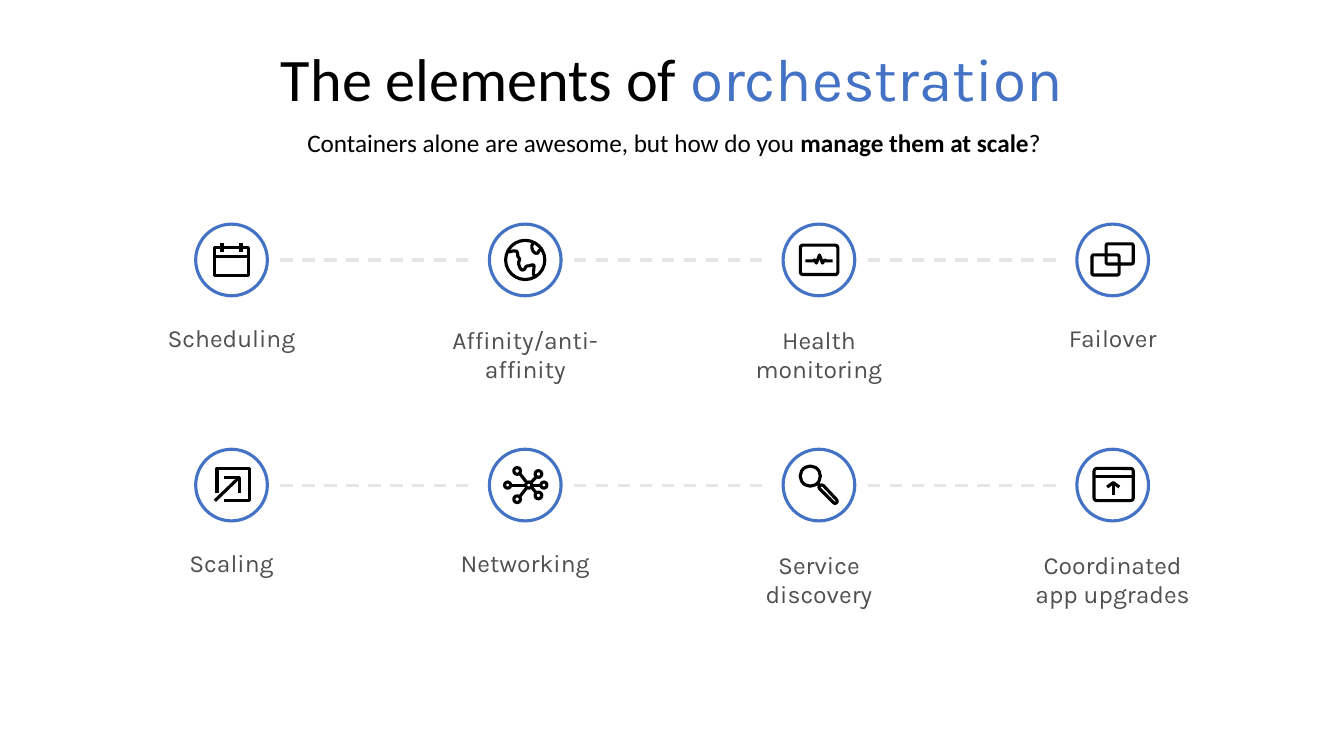
import pptx
import pptx.dml.color
import pptx.enum.dml
import pptx.enum.shapes
import pptx.enum.text
import pptx.oxml.ns
import pptx.util
from lxml import etree

Pt = pptx.util.Pt
MSO = pptx.enum.shapes.MSO_SHAPE

TITLE = [("The elements of ", "Calibri", "ink"), ("orchestration", "Karla", "accent")]
SUBTITLE = [("Containers alone are awesome, but how do you ", False),
            ("manage them at scale", True), ("?", False)]

# Rows of elements: label, label width, label line count, icon
ELEMENTS = [
    [("Scheduling", 127.4, 1, "calendar"), ("Affinity/anti-affinity", 158.4, 2, "globe"),
     ("Health monitoring", 127.4, 2, "pulse"), ("Failover", 127.4, 1, "windows")],
    [("Scaling", 127.4, 1, "expand"), ("Networking", 158.4, 1, "network"),
     ("Service discovery", 127.4, 2, "magnifier"),
     ("Coordinated app upgrades", 142.6, 2, "upload")],
]

# Icon parts, in points from the middle of the ring:
# boxes are (kind, left, top, width, height), dots are (kind, x, y, diameter),
# paths are (kind, points)
ICONS = {
    "calendar": [("rect", -12, -8.6, 24, 20),
                 ("open", [(-6.8, -12), (-6.8, -5.8)]),
                 ("open", [(6.8, -12), (6.8, -5.8)]),
                 ("open", [(-12, -2.2), (12, -2.2)])],
    "globe": [("dot", 0, 0, 28),
              ("open", [(7.6, 11.5), (6.1, 10.8), (5.8, 9.4), (6.1, 7.2), (6.3, 4.5),
                        (6.1, 3.6), (4.7, 3.6), (2.5, 4.3), (1.2, 4.3), (0.4, 5),
                        (-0.4, 6.5), (-1.2, 7.1), (-2.5, 7.2), (-3.7, 5.8), (-4.7, 2.9),
                        (-4.6, 1.2), (-4, 0), (-4, -0.7), (-5.3, -2.7), (-5.4, -5),
                        (-6.2, -6.2), (-8.2, -6.5), (-11.2, -5.8), (-11.9, -7.2)]),
              ("open", [(12.6, -7.9), (11, -7.5), (9.7, -6.5), (9, -5), (8, -4.7),
                        (6.8, -5), (5.5, -6.3), (4.7, -8.6), (4.7, -10.3), (5.4, -11.5),
                        (5.4, -13)])],
    "pulse": [("round", -13.3, -10.6, 26.8, 21),
              ("open", [(-9.7, 0.7), (-4, 0.7), (-3.2, 0), (-1.8, 2.2), (0.4, -3.6),
                        (2.5, 2.2), (4, 0), (5.4, 0.7), (9.7, 0.7)])],
    "windows": [("round", -4.7, -11.5, 19.4, 14.4), ("round", -14.8, -3.6, 19.4, 14.4)],
    "expand": [("open", [(5.4, 5.4), (5.4, -5.4), (-5.4, -5.4)]),
               ("open", [(-5.4, 11.2), (12.6, 11.2), (12.6, -11.9), (-10.4, -11.9),
                         (-10.4, 5.4)]),
               ("open", [(5.4, -5.4), (-11.9, 11.2)])],
    "network": [("dot", 2.5, 0, 4.4), ("dot", 13.3, 0, 4.4), ("dot", -12.6, 0, 4.4),
                ("dot", 9.4, 7.4, 4.8), ("dot", -5.8, 10.1, 4.8),
                ("dot", 9.4, -7.9, 4.8), ("dot", -5.8, -10.1, 4.8),
                ("open", [(11.2, 0), (4.7, 0)]), ("open", [(0.4, 0), (-10.4, 0)]),
                ("open", [(-4, 8.3), (1.1, 1.8)]), ("open", [(4.7, 1.8), (8.3, 6.1)]),
                ("open", [(-4, -8.3), (1.1, -1.8)]), ("open", [(4, -1.8), (8.3, -6.1)])],
    "magnifier": [("dot", -6.2, -6.4, 14.4),
                  ("closed", [(0.4, 2.5), (10.4, 12.6), (11.5, 13.1), (12.6, 12.6),
                              (13.1, 11.5), (12.6, 10.4), (3.2, 0.4), (1.8, -0.1),
                              (0.4, 0.4), (-0.1, 1.4)]),
                  ("open", [(-1.1, -1.8), (0.4, 0.4)])],
    "upload": [("round", -13.3, -11.9, 28, 23),
               ("open", [(-13.3, -6.1), (14.7, -6.1)]),
               ("open", [(0.4, 6.8), (0.4, -1.8)]),
               ("open", [(-4, 1.4), (0.4, -1.8), (4.7, 1.4)])],
}

THEME = {
    "ink": "000000", "accent": "4472C4", "label": "505050", "dash": "E7E6E6",
    "paper": "FFFFFF", "stroke": 2.25, "title": 43.1, "subtitle": 18, "caption": 17.6,
}
FIRST_X, FIRST_Y = 165.4, 185.7
COLUMN_STEP, ROW_STEP = 209.8, 160.8
RING = 51.2
DASH_CLEARANCE = 34.8
LABEL_DROP, LABEL_LINE, LABEL_INSET = 34.6, 21.4, 11.5


def color(name):
    return pptx.dml.color.RGBColor.from_string(THEME[name])


def style(s, line, fill=None):
    s.shadow.inherit = False
    if fill:
        s.fill.solid()
        s.fill.fore_color.rgb = color(fill)
    else:
        s.fill.background()
    s.line.color.rgb = color(line)
    s.line.width = Pt(THEME["stroke"])


def add_box(shapes, kind, x, y, w, h, line="ink", fill=None):
    s = shapes.add_shape(kind, Pt(x), Pt(y), Pt(w), Pt(h))
    if kind == MSO.ROUNDED_RECTANGLE:
        s.adjustments[0] = 0.087
    style(s, line, fill)


def add_connector(shapes, start, end, line="ink"):
    c = shapes.add_connector(pptx.enum.shapes.MSO_CONNECTOR.STRAIGHT,
                             *(Pt(v) for v in (*start, *end)))
    c.line.color.rgb = color(line)
    c.line.width = Pt(THEME["stroke"])
    etree.SubElement(c._element.spPr, pptx.oxml.ns.qn("a:effectLst"))
    return c


def add_icon(shapes, name, cx, cy):
    for kind, *data in ICONS[name]:
        if kind in ("rect", "round"):
            x, y, w, h = data
            shape = MSO.RECTANGLE if kind == "rect" else MSO.ROUNDED_RECTANGLE
            add_box(shapes, shape, cx + x, cy + y, w, h)
        elif kind == "dot":
            x, y, d = data
            add_box(shapes, MSO.OVAL, cx + x - d / 2, cy + y - d / 2, d, d)
        else:
            points = [(cx + x, cy + y) for x, y in data[0]]
            if len(points) == 2:
                add_connector(shapes, *points)
                continue
            first, *rest = [(Pt(x), Pt(y)) for x, y in points]
            builder = shapes.build_freeform(*first)
            builder.add_line_segments(rest, close=kind == "closed")
            style(builder.convert_to_shape(), "ink")


def add_text(shapes, x, y, w, h):
    tf = shapes.add_textbox(Pt(x), Pt(y), Pt(w), Pt(h)).text_frame
    tf.word_wrap = True
    return tf, tf.paragraphs[0]


def add_label(shapes, text, cx, cy, width, lines):
    tf, p = add_text(shapes, cx - width / 2, cy + LABEL_DROP, width,
                     2 * LABEL_INSET + lines * LABEL_LINE)
    tf.margin_left = tf.margin_right = Pt(LABEL_INSET)
    tf.margin_top = tf.margin_bottom = Pt(LABEL_INSET)
    p.text = text
    p.alignment = pptx.enum.text.PP_ALIGN.CENTER
    p.font.name, p.font.size = "Karla", Pt(THEME["caption"])
    p.font.color.rgb = color("label")


def add_heading(shapes):
    tf, p = add_text(shapes, 20.9, 23, 918, 70.6)
    tf.vertical_anchor = pptx.enum.text.MSO_ANCHOR.MIDDLE
    p.alignment = pptx.enum.text.PP_ALIGN.CENTER
    p.line_spacing = 0.9
    p.font.size = Pt(THEME["title"])
    for text, font, tint in TITLE:
        r = p.add_run()
        r.text, r.font.name = text, font
        r.font.color.rgb = color(tint)

    tf, p = add_text(shapes, 212.4, 87.1, 771.8, 29)
    p.font.name, p.font.size = "Calibri", Pt(THEME["subtitle"])
    p.font.color.rgb = color("ink")
    for text, bold in SUBTITLE:
        r = p.add_run()
        r.text, r.font.bold = text, bold


def main():
    prs = pptx.Presentation()
    prs.slide_width, prs.slide_height = Pt(960), Pt(540)
    shapes = prs.slides.add_slide(prs.slide_layouts[6]).shapes
    add_heading(shapes)
    for row, elements in enumerate(ELEMENTS):
        cy = FIRST_Y + row * ROW_STEP
        for column, (text, width, lines, icon) in enumerate(elements):
            cx = FIRST_X + column * COLUMN_STEP
            add_label(shapes, text, cx, cy, width, lines)
            if column < len(elements) - 1:
                c = add_connector(shapes, (cx + DASH_CLEARANCE, cy),
                                  (cx + COLUMN_STEP - DASH_CLEARANCE, cy), "dash")
                c.line.dash_style = pptx.enum.dml.MSO_LINE.DASH
            add_box(shapes, MSO.OVAL, cx - RING / 2, cy - RING / 2, RING, RING,
                    "accent", "paper")
            add_icon(shapes, icon, cx, cy)
    prs.save("out.pptx")


if __name__ == "__main__":
    main()
